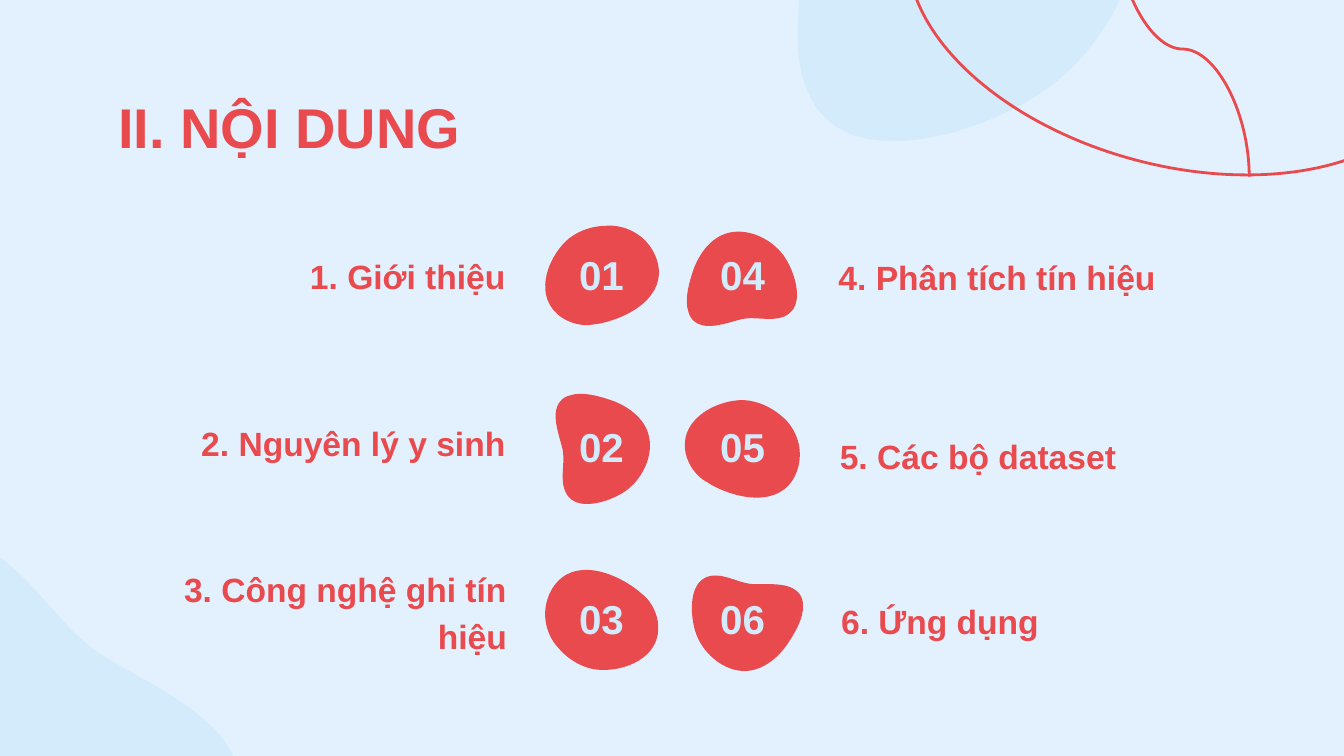
from pptx import Presentation
from pptx.dml.color import RGBColor
from pptx.enum.shapes import MSO_CONNECTOR, MSO_SHAPE
from pptx.enum.text import MSO_ANCHOR, MSO_AUTO_SIZE, PP_ALIGN
from pptx.oxml.ns import qn
from pptx.oxml.xmlchemy import OxmlElement
from pptx.util import Emu, Pt

EMU_PER_PX = 9144  # 100 px to the inch
FONT = "Arial"
SKY = RGBColor(0xE3, 0xF1, 0xFE)
PALE_BLUE = RGBColor(0xD4, 0xEB, 0xFC)
RED = RGBColor(0xE9, 0x4A, 0x4E)

# Outlines around their own centre: a start point, then cubic curves
# given as two control points and an end point.
NOTCHED = [
    (-75, -162),
    (-86, -162), (-97, -160), (-106, -157),
    (-128, -151), (-144, -135), (-147, -104),
    (-149, -71), (-136, -36), (-128, -4),
    (-116, 41), (-141, 98), (-111, 138),
    (-98, 155), (-78, 161), (-55, 161),
    (-10, 161), (44, 136), (68, 115),
    (120, 71), (150, -11), (112, -72),
    (92, -104), (59, -126), (24, -140),
    (-4, -150), (-42, -162), (-75, -162),
]
OVAL = [
    (5, -37),
    (-5, -37), (-15, -34), (-23, -28),
    (-38, -16), (-50, 12), (-33, 28),
    (-27, 34), (-18, 37), (-10, 37),
    (-7, 37), (-4, 36), (-2, 36),
    (20, 32), (50, 16), (42, -11),
    (37, -27), (23, -36), (9, -37),
    (7, -37), (6, -37), (5, -37),
]
LARGE_SIZE = (299, 323)
BADGE_SIZES = {"notched": (76, 82), "oval": (100, 74)}
OUTLINES = {"notched": NOTCHED, "oval": OVAL}

# Badge kind, its left, top and angle; label, its left and top
TOPICS = [
    ("oval", 397, 168, 0, "1. Giới thiệu", 87, 176),
    ("notched", 413, 293, 0, "2. Nguyên lý y sinh", 87, 300),
    ("oval", 397, 425, 229.3, "3. Công nghệ ghi tín hiệu", 88, 409),
    ("notched", 514, 164, 270, "4. Phân tích tín hiệu", 614, 177),
    ("oval", 503, 297, 40.2, "5. Các bộ dataset", 615, 310),
    ("notched", 514, 425, 105, "6. Ứng dụng", 616, 433),
]
ROWS = 3
NUMBER_LEFTS = (413, 518)
NUMBER_TOP, ROW_STEP = 181, 128


def px(value):
    return Emu(round(value * EMU_PER_PX))


def lines_to_curves(path):
    """Turn every three line segments of a path into one cubic curve."""
    lines = path.findall(qn("a:lnTo"))
    for i in range(0, len(lines), 3):
        curve = OxmlElement("a:cubicBezTo")
        lines[i].addprevious(curve)
        for line in lines[i:i + 3]:
            curve.append(line[0])
            path.remove(line)


def add_blob(slide, outline, left, top, size, angle, color):
    points = [(px(x), px(y)) for x, y in outline]
    builder = slide.shapes.build_freeform(*points[0])
    builder.add_line_segments(points[1:], close=True)
    shape = builder.convert_to_shape()
    lines_to_curves(shape.element.find(".//" + qn("a:path")))
    shape.left, shape.top = px(left), px(top)
    shape.width, shape.height = map(px, size)
    shape.rotation = angle
    shape.shadow.inherit = False
    shape.fill.solid()
    shape.fill.fore_color.rgb = color
    shape.line.fill.background()


def style_line(line):
    line.color.rgb = RED
    line.width = Pt(1.5)


def add_corner_lines(slide):
    arc = slide.shapes.add_shape(
        MSO_SHAPE.ARC, px(671), px(-123), px(410), px(246))
    arc.adjustments[0] = 114.56
    arc.adjustments[1] = 0
    arc.rotation = 195
    arc.shadow.inherit = False
    arc.fill.background()
    style_line(arc.line)

    # The S-curve is laid out flat, then turned upright
    curve = slide.shapes.add_connector(
        MSO_CONNECTOR.CURVE, px(975), px(-13), px(785), px(86))
    style_line(curve.line)
    properties = curve.element.spPr
    properties.find(qn("a:xfrm")).set("rot", str(90 * 60000))
    properties.append(OxmlElement("a:effectLst"))


def write_text(shape, text, size, color, align, anchor=MSO_ANCHOR.TOP):
    frame = shape.text_frame
    frame.word_wrap = True
    frame.auto_size = MSO_AUTO_SIZE.NONE
    frame.vertical_anchor = anchor
    frame.margin_left = frame.margin_right = px(10)
    frame.margin_top = frame.margin_bottom = px(10)
    paragraph = frame.paragraphs[0]
    paragraph.text = text
    paragraph.alignment = align
    font = paragraph.font
    font.name, font.size, font.bold = FONT, Pt(size), True
    font.color.rgb = color
    return paragraph


def add_title(slide, text):
    title = slide.shapes.title
    title.left, title.top = px(78), px(59)
    title.width, title.height = px(844), px(67)
    write_text(title, text, 30, RED, PP_ALIGN.LEFT)


def add_label(slide, text, left, top, align):
    box = slide.shapes.add_textbox(px(left), px(top), px(299), px(43))
    paragraph = write_text(box, text, 18, RED, align)
    paragraph.line_spacing = 1.15
    paragraph.space_after = Pt(12)


def add_number(slide, number, left, top):
    box = slide.shapes.add_textbox(px(left), px(top), px(69), px(46))
    write_text(box, f"{number:02}", 21.6, PALE_BLUE, PP_ALIGN.CENTER,
               MSO_ANCHOR.MIDDLE)


def main():
    presentation = Presentation()
    presentation.slide_width, presentation.slide_height = px(1000), px(562.5)
    slide = presentation.slides.add_slide(presentation.slide_layouts[5])

    # Background
    slide.background.fill.solid()
    slide.background.fill.fore_color.rgb = SKY
    add_blob(slide, NOTCHED, 571, -218, LARGE_SIZE, 0, PALE_BLUE)
    add_blob(slide, NOTCHED, -164, 416, LARGE_SIZE, 135, PALE_BLUE)
    add_corner_lines(slide)

    add_title(slide, "II. NỘI DUNG")

    # Topics: three on each side, numbers in the middle
    for i, (kind, badge_left, badge_top, angle, text, left, top) in enumerate(TOPICS):
        column, row = divmod(i, ROWS)
        add_blob(slide, OUTLINES[kind], badge_left, badge_top,
                 BADGE_SIZES[kind], angle, RED)
        add_number(slide, i + 1, NUMBER_LEFTS[column],
                   NUMBER_TOP + row * ROW_STEP)
        add_label(slide, text, left, top,
                  PP_ALIGN.LEFT if column else PP_ALIGN.RIGHT)

    presentation.save("out.pptx")


if __name__ == "__main__":
    main()
